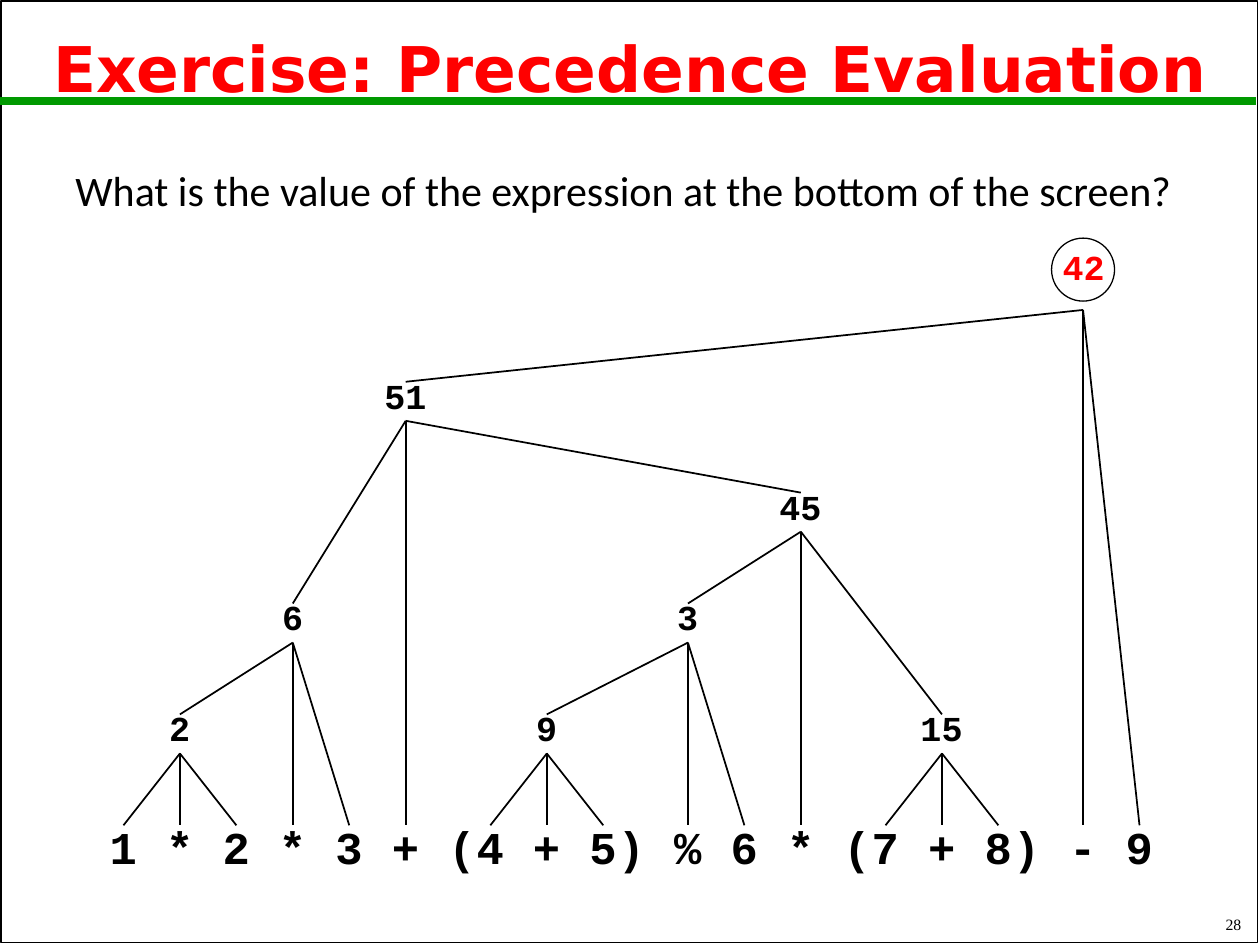
from dataclasses import dataclass
from typing import Union

from lxml.etree import SubElement
from pptx import Presentation
from pptx.dml.color import RGBColor
from pptx.enum.shapes import MSO_CONNECTOR, MSO_SHAPE
from pptx.enum.text import MSO_ANCHOR as Anchor, MSO_AUTO_SIZE as AutoSize, PP_ALIGN as Align
from pptx.oxml.ns import qn
from pptx.util import Inches, Pt


@dataclass(frozen=True)
class Style:
    font: str
    size: float
    color: RGBColor
    bold: bool = False


class Theme:
    black = RGBColor(0, 0, 0)
    white = RGBColor(255, 255, 255)
    red = RGBColor(255, 0, 0)
    green = RGBColor(0, 0x99, 0)
    title = Style("DejaVu Sans", 36, red, True)
    question = Style("Calibri", 24, black)
    token = Style("Courier New", 26, black, True)
    value = Style("Courier New", 20, black, True)
    answer = Style("Courier New", 20, red, True)
    number = Style("Times New Roman", 9, black)


@dataclass(frozen=True)
class Operation:
    """One evaluated operation; plain integers are columns of operands."""
    value: str
    level: int
    column: int
    left: Union["Operation", int]
    right: Union["Operation", int]


EXPRESSION = "1 * 2 * 3 + (4 + 5) % 6 * (7 + 8) - 9"
PRODUCT = Operation("6", 2, 6, Operation("2", 1, 2, 0, 4), 8)
REMAINDER = Operation("3", 2, 20, Operation("9", 1, 15, 13, 17), 22)
SECOND_TERM = Operation("45", 3, 24, REMAINDER, Operation("15", 1, 29, 27, 31))
SUM = Operation("51", 4, 10, PRODUCT, SECOND_TERM)
TREE = Operation("42", 5, 34, SUM, 36)

# Columns follow the characters of the expression; levels rise from it
FIRST_LEFT, PITCH, HALF_TOKEN = 0.87, 0.224, 0.11
BASE, LEVEL_STEP, LABEL_RISE, BRANCH_RISE = 6.86, 0.88, 0.37, 0.31


def column_center(column):
    return FIRST_LEFT + column * PITCH + HALF_TOKEN


def level_y(level):
    return BASE - level * LEVEL_STEP


def add_text(shapes, text, place, style, align=Align.LEFT, anchor=Anchor.TOP,
             inset=True, wrap=True, spacing=None, grow=False):
    box = shapes.add_textbox(*map(Inches, place))
    frame = box.text_frame
    frame.text = text
    frame.word_wrap = wrap
    frame.vertical_anchor = anchor
    frame.auto_size = AutoSize.SHAPE_TO_FIT_TEXT if grow else AutoSize.NONE
    if not inset:
        frame.margin_left = frame.margin_right = 0
        frame.margin_top = frame.margin_bottom = 0
    para = frame.paragraphs[0]
    para.alignment = align
    if spacing:
        para.line_spacing = spacing
    font = para.runs[0].font
    font.name, font.size, font.bold = style.font, Pt(style.size), style.bold
    font.color.rgb = style.color


def add_line(shapes, start, end, color=Theme.black, width=1):
    line = shapes.add_connector(MSO_CONNECTOR.STRAIGHT, *map(Inches, (*start, *end)))
    line.line.color.rgb = color
    line.line.width = Pt(width)
    SubElement(line._element.spPr, qn("a:effectLst"))


def add_outline(shapes, kind, place, width, fill=None):
    shape = shapes.add_shape(kind, *map(Inches, place))
    shape.shadow.inherit = False
    if fill is None:
        shape.fill.background()
    else:
        shape.fill.solid()
        shape.fill.fore_color.rgb = fill
    shape.line.color.rgb = Theme.black
    shape.line.width = Pt(width)


def add_expression(shapes):
    for column, token in enumerate(EXPRESSION):
        if token != " ":
            place = (FIRST_LEFT + column * PITCH, 6.5, 0.25, 0.42)
            add_text(shapes, token, place, Theme.token, inset=False)


def add_branches(shapes, operation):
    fork = (column_center(operation.column), level_y(operation.level))
    for child in (operation.left, operation.column, operation.right):
        nested = isinstance(child, Operation)
        column, level = (child.column, child.level) if nested else (child, 0)
        add_line(shapes, fork, (column_center(column), level_y(level) - BRANCH_RISE))
        if nested:
            add_value(shapes, child)
            add_branches(shapes, child)


def add_value(shapes, operation):
    digits = len(operation.value)
    place = (column_center(operation.column) - 0.085 * digits,
             level_y(operation.level) - LABEL_RISE, 0.04 + 0.16 * digits, 0.32)
    add_text(shapes, operation.value, place, Theme.value, inset=False)


def add_answer(shapes, operation):
    group = shapes.add_group_shape().shapes
    center = column_center(operation.column)
    add_outline(group, MSO_SHAPE.OVAL, (center - 0.25, 1.89, 0.5, 0.5), 0.75, Theme.white)
    add_text(group, operation.value, (center - 0.33, 1.9, 0.67, 0.44), Theme.answer,
             align=Align.CENTER, grow=True)


def main():
    deck = Presentation()
    deck.slide_width, deck.slide_height = Inches(10), Inches(7.5)
    page = deck.slides.add_slide(deck.slide_layouts[6])
    shapes = page.shapes

    # Frame, rule and headings
    add_outline(shapes, MSO_SHAPE.RECTANGLE, (0.01, 0.01, 9.97, 7.47), 1)
    add_line(shapes, (0, 0.8), (9.97, 0.8), Theme.green, 4.5)
    add_text(shapes, "Exercise: Precedence Evaluation", (0, 0.08, 10, 0.99), Theme.title,
             align=Align.CENTER, anchor=Anchor.MIDDLE, spacing=0.9)
    add_text(shapes, "What is the value of the expression at the bottom of the screen?",
             (0.5, 1.3, 9, 0.46), Theme.question, align=Align.JUSTIFY, spacing=0.9, grow=True)

    # Expression and its evaluation tree
    add_expression(shapes)
    add_branches(shapes, TREE)
    add_answer(shapes, TREE)

    # Slide number
    add_text(shapes, "28", (7.87, 7.17, 2.08, 0.29), Theme.number,
             align=Align.RIGHT, anchor=Anchor.BOTTOM, wrap=False)
    deck.save("out.pptx")


if __name__ == "__main__":
    main()
